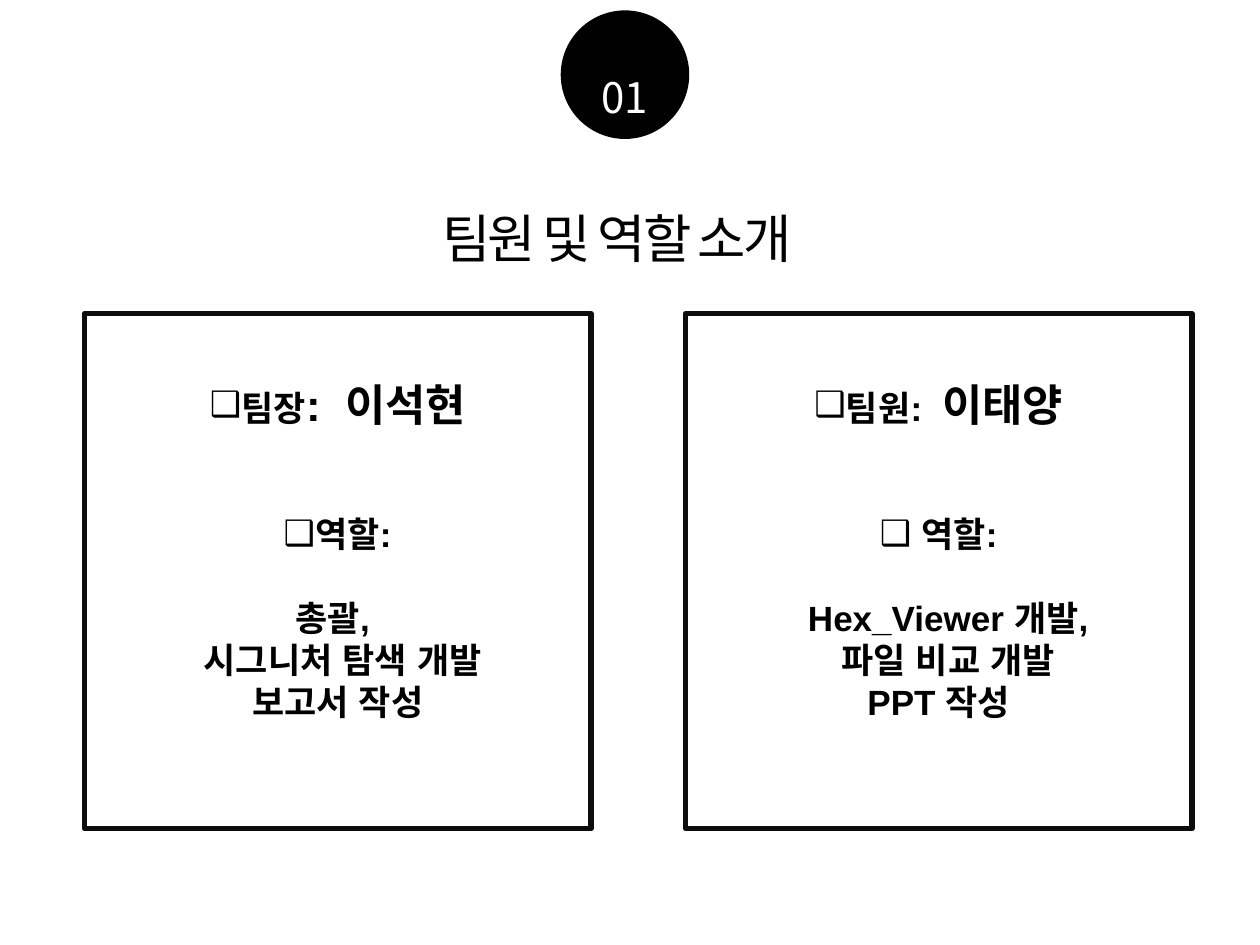
from dataclasses import dataclass

from lxml import etree
from pptx import Presentation
from pptx.dml.color import RGBColor
from pptx.enum.shapes import MSO_SHAPE
from pptx.enum.text import MSO_ANCHOR, PP_ALIGN
from pptx.oxml.ns import qn
from pptx.util import Inches, Pt

OVAL, RECT = MSO_SHAPE.OVAL, MSO_SHAPE.RECTANGLE
TOP = MSO_ANCHOR.TOP
LEFT, CENTER = PP_ALIGN.LEFT, PP_ALIGN.CENTER

BLACK = RGBColor(0, 0, 0)
WHITE = RGBColor(255, 255, 255)
EDGE = RGBColor(0x0D, 0x0D, 0x0D)
SANS, BODY = "Noto Sans CJK KR", "Arial"
WIDE, HIGH = Inches(10), Inches(7.5)
CARD_X, CARD_STEP = 0.067, 0.477


@dataclass
class Run:
    text: str
    size: float = 20
    font: str = BODY
    color: RGBColor = BLACK
    bold: bool = True
    track: float = 0


@dataclass
class Line:
    runs: list[Run]
    box: bool = False
    gap: float = 0
    left: float = 0
    right: float = 0


def area(x: float, y: float, w: float, h: float) -> tuple[int, ...]:
    """Turn shares of the slide into lengths."""
    return int(x * WIDE), int(y * HIGH), int(w * WIDE), int(h * HIGH)


def add_run(para, run: Run) -> None:
    item = para.add_run()
    item.text = run.text
    font = item.font
    font.size, font.name, font.bold = Pt(run.size), run.font, run.bold
    font.color.rgb = run.color
    props = item._r.get_or_add_rPr()
    east = etree.Element(qn("a:ea"), typeface=run.font)
    props.find(qn("a:latin")).addnext(east)
    if run.track:
        props.set("spc", str(int(run.track * 100)))


def write(frame, lines: list[Line], align=CENTER) -> None:
    frame.vertical_anchor = TOP
    for i, line in enumerate(lines):
        para = frame.add_paragraph() if i else frame.paragraphs[0]
        props = para._p.get_or_add_pPr()
        props.set("marL", str(Inches(line.left)))
        props.set("marR", str(Inches(line.right)))
        props.set("indent", "0")
        if line.box:
            etree.SubElement(props, qn("a:buFont"), typeface=BODY)
            etree.SubElement(props, qn("a:buChar"), char="❑")
        para.alignment = align
        para.space_before = Pt(line.gap)
        for run in line.runs:
            add_run(para, run)


def add_card(slide, col: int, lines: list[Line]) -> None:
    card = slide.shapes.add_shape(
        RECT, *area(CARD_X + col * CARD_STEP, 0.332, 0.402, 0.545))
    card.shadow.inherit = False
    card.fill.background()
    card.line.color.rgb, card.line.width = EDGE, Pt(3)
    etree.SubElement(card.line._get_or_add_ln(), qn("a:round"))
    card.text_frame.word_wrap = True
    card.text_frame.margin_top = Inches(0.51)
    write(card.text_frame, lines)


def add_badge(slide, text: str) -> None:
    disc = slide.shapes.add_shape(OVAL, *area(0.445, 0.011, 0.102, 0.136))
    disc.shadow.inherit = False
    disc.fill.solid()
    disc.fill.fore_color.rgb = BLACK
    disc.line.fill.background()
    label = slide.shapes.add_textbox(*area(0.437, 0.069, 0.118, 0.067))
    label.text_frame.word_wrap = True
    write(label.text_frame, [Line([Run(text, 24, SANS, WHITE, False)])])


def set_title(slide, text: str) -> None:
    title = slide.shapes.title
    title.left, title.top, title.width, title.height = area(
        0.341, 0.211, 0.319, 0.081)
    run = Run(text, 30, SANS, bold=False, track=-1.5)
    write(title.text_frame, [Line([run])], LEFT)


def main() -> None:
    deck = Presentation()
    deck.slide_width, deck.slide_height = WIDE, HIGH
    slide = deck.slides.add_slide(deck.slide_layouts[5])
    add_badge(slide, "01")
    set_title(slide, "팀원 및 역할 소개")
    cards = [
        [Line([Run("팀장"), Run(":", 25), Run(" ", 25, track=7),
               Run("이석현", 25)], box=True),
         Line([Run("역할:")], box=True, gap=47),
         Line([Run("총괄,")], gap=24, right=0.08),
         Line([Run("시그니처 탐색 개발")], left=0.08),
         Line([Run("보고서 작성")])],
        [Line([Run("팀원:"), Run(" ", track=6), Run("이태양", 25)], box=True),
         Line([Run(" 역할:")], box=True, gap=47),
         Line([Run("Hex_Viewer 개발,")], gap=24, left=0.15),
         Line([Run("파일 비교 개발")], left=0.15),
         Line([Run("PPT 작성")])],
    ]
    for col, lines in enumerate(cards):
        add_card(slide, col, lines)
    deck.save("out.pptx")


if __name__ == "__main__":
    main()
